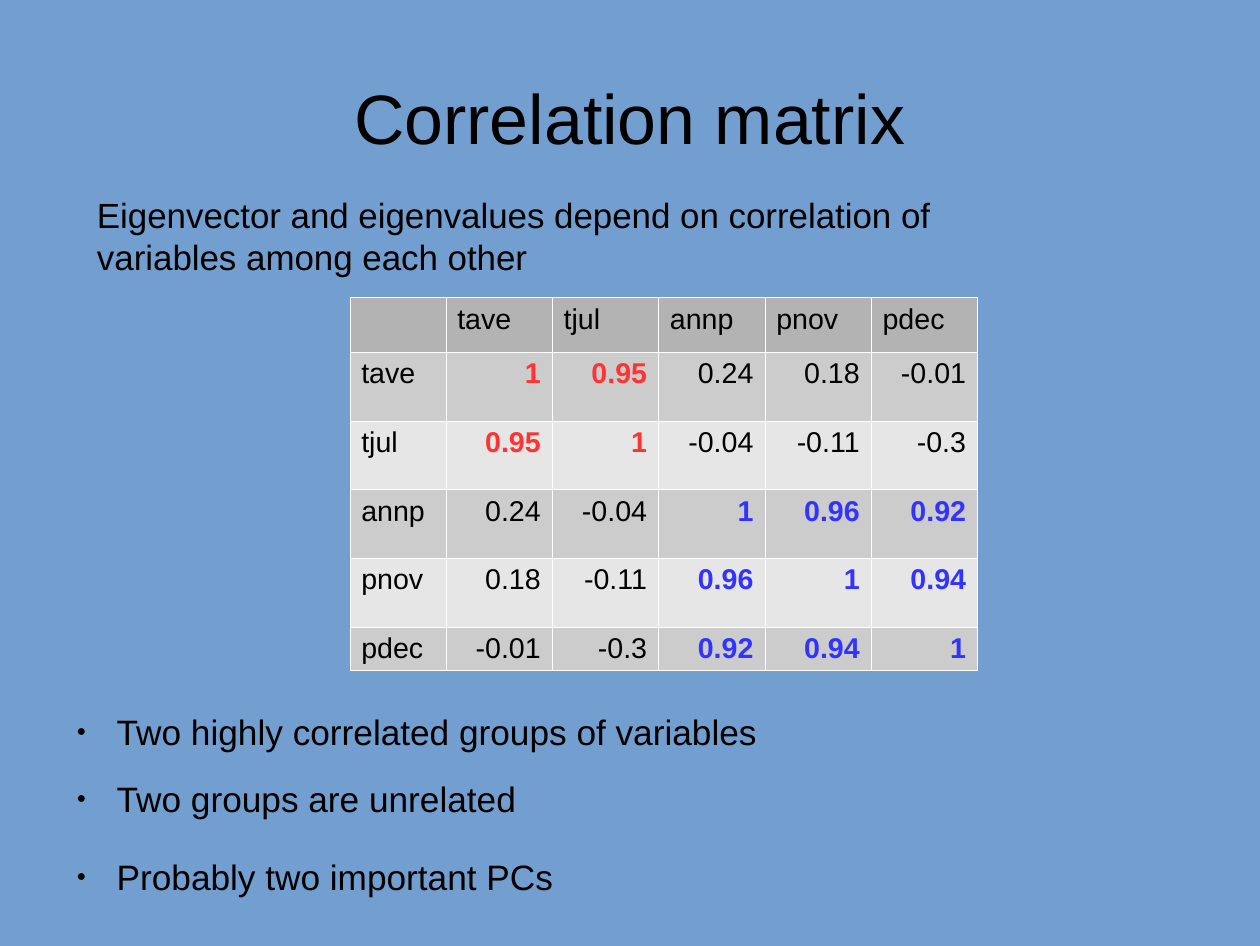
from dataclasses import dataclass

from lxml import etree
from pptx import Presentation
from pptx.dml.color import RGBColor
from pptx.enum.text import MSO_ANCHOR, MSO_AUTO_SIZE, PP_ALIGN
from pptx.oxml.ns import qn
from pptx.util import Emu, Inches, Pt

LEFT, CENTER, RIGHT = PP_ALIGN.LEFT, PP_ALIGN.CENTER, PP_ALIGN.RIGHT
TOP, MIDDLE = MSO_ANCHOR.TOP, MSO_ANCHOR.MIDDLE
NO_FIT = MSO_AUTO_SIZE.NONE

COLORS = {
    "back": "729FCF", "text": "000000", "temperature": "FF3333",
    "precipitation": "3333FF", "header": "B3B3B3", "odd": "CCCCCC",
    "even": "E6E6E6", "border": "FFFFFF",
}
BORDER_WIDTH = Pt(0.06)


@dataclass
class Box:
    left: float
    top: float
    width: float
    height: float

    def emu(self) -> list[Emu]:
        return [Inches(v) for v in (self.left, self.top, self.width, self.height)]


@dataclass
class Bullet:
    text: str
    space_before: float


@dataclass
class Variable:
    name: str
    group: str
    values: tuple


TITLE_BOX = Box(0.55, 0.33, 9.92, 1.38)
INTRO_BOX = Box(0.75, 1.64, 8.6, 0.78)
TABLE_BOX = Box(3.06, 2.6, 5.5, 3.24)
BULLET_BOX = Box(0.55, 6.21, 9.92, 1.6)
COLUMN_WIDTHS = [0.84] + [0.93] * 5
ROW_HEIGHTS = [0.48] + [0.6] * 4 + [0.38]

VARIABLES = [
    Variable("tave", "temperature", (1, 0.95, 0.24, 0.18, -0.01)),
    Variable("tjul", "temperature", (0.95, 1, -0.04, -0.11, -0.3)),
    Variable("annp", "precipitation", (0.24, -0.04, 1, 0.96, 0.92)),
    Variable("pnov", "precipitation", (0.18, -0.11, 0.96, 1, 0.94)),
    Variable("pdec", "precipitation", (-0.01, -0.3, 0.92, 0.94, 1)),
]
BULLETS = [
    Bullet("Two highly correlated groups of variables", 0),
    Bullet("Two groups are unrelated", 15.4),
    Bullet("Probably two important PCs", 22.4),
]


def rgb(name: str) -> RGBColor:
    return RGBColor.from_string(COLORS[name])


def set_all(target, formats: dict) -> None:
    for name, value in formats.items():
        setattr(target, name, value)


def write(p, text: str, size: float, color: str = "text", bold: bool = False,
          align=LEFT) -> None:
    p.alignment = align
    r = p.add_run()
    r.text = text
    set_all(r.font, {"name": "Arial", "size": Pt(size), "bold": bold})
    r.font.color.rgb = rgb(color)


def place(sp, box: Box, anchor=TOP, inset_x: float = 0, inset_y: float = 0):
    set_all(sp, dict(zip(("left", "top", "width", "height"), box.emu())))
    tf = sp.text_frame
    set_all(tf, {
        "word_wrap": True, "auto_size": NO_FIT, "vertical_anchor": anchor,
        "margin_left": Inches(inset_x), "margin_right": Inches(inset_x),
        "margin_top": Inches(inset_y), "margin_bottom": Inches(inset_y),
    })
    return tf


def add_bullet(p) -> None:
    pPr = p._p.get_or_add_pPr()
    pPr.set("marL", str(Inches(0.47)))
    pPr.set("indent", str(Inches(-0.35)))
    color = etree.SubElement(pPr, qn("a:buClr"))
    etree.SubElement(color, qn("a:srgbClr"), val=COLORS["text"])
    etree.SubElement(pPr, qn("a:buSzPct"), val="45000")
    etree.SubElement(pPr, qn("a:buFont"), typeface="Arial")
    etree.SubElement(pPr, qn("a:buChar"), char="●")


def add_borders(cell, position: int = 0) -> None:
    tcPr = cell._tc.get_or_add_tcPr()
    for position, side in enumerate(("lnL", "lnR", "lnT", "lnB")):
        ln = etree.Element(qn(f"a:{side}"), w=str(BORDER_WIDTH))
        fill = etree.SubElement(ln, qn("a:solidFill"))
        etree.SubElement(fill, qn("a:srgbClr"), val=COLORS["border"])
        tcPr.insert(position, ln)


def fill_cell(cell, text: str, fill: str, **look) -> None:
    set_all(cell, {
        "margin_left": Inches(0.1), "margin_right": Inches(0.1),
        "margin_top": Inches(0.05), "margin_bottom": Inches(0.05),
    })
    cell.fill.solid()
    cell.fill.fore_color.rgb = rgb(fill)
    add_borders(cell)
    if text:
        write(cell.text_frame.paragraphs[0], text, 18, **look)


def add_matrix(s) -> None:
    table = s.shapes.add_table(len(ROW_HEIGHTS), len(COLUMN_WIDTHS),
                               *TABLE_BOX.emu()).table
    set_all(table, {"first_row": False, "horz_banding": False})
    for column, width in zip(table.columns, COLUMN_WIDTHS):
        column.width = Inches(width)
    for row, height in zip(table.rows, ROW_HEIGHTS):
        row.height = Inches(height)
    # Header row
    for j, name in enumerate([""] + [v.name for v in VARIABLES]):
        fill_cell(table.cell(0, j), name, "header")
    # Correlations, coloured where both variables share a group
    for i, variable in enumerate(VARIABLES, 1):
        band = "odd" if i % 2 else "even"
        fill_cell(table.cell(i, 0), variable.name, band)
        for j, (other, value) in enumerate(zip(VARIABLES, variable.values), 1):
            same = variable.group == other.group
            fill_cell(table.cell(i, j), str(value), band, bold=same, align=RIGHT,
                      color=variable.group if same else "text")


def main() -> None:
    prs = Presentation()
    set_all(prs, {"slide_width": Inches(11.02), "slide_height": Inches(8.27)})
    s = prs.slides.add_slide(prs.slide_layouts[1])
    s.background.fill.solid()
    s.background.fill.fore_color.rgb = rgb("back")

    # Title
    tf = place(s.shapes.title, TITLE_BOX, MIDDLE)
    write(tf.paragraphs[0], "Correlation matrix", 44, align=CENTER)

    # Conclusions
    tf = place(s.placeholders[1], BULLET_BOX)
    for i, bullet in enumerate(BULLETS):
        p = tf.add_paragraph() if i else tf.paragraphs[0]
        add_bullet(p)
        p.space_before = Pt(bullet.space_before)
        write(p, bullet.text, 22.2)

    add_matrix(s)

    # Introduction
    tf = place(s.shapes.add_textbox(*INTRO_BOX.emu()), INTRO_BOX,
               inset_x=0.1, inset_y=0.05)
    write(tf.paragraphs[0], "Eigenvector and eigenvalues depend on correlation of "
          "variables among each other", 22)

    prs.save("out.pptx")


if __name__ == "__main__":
    main()
